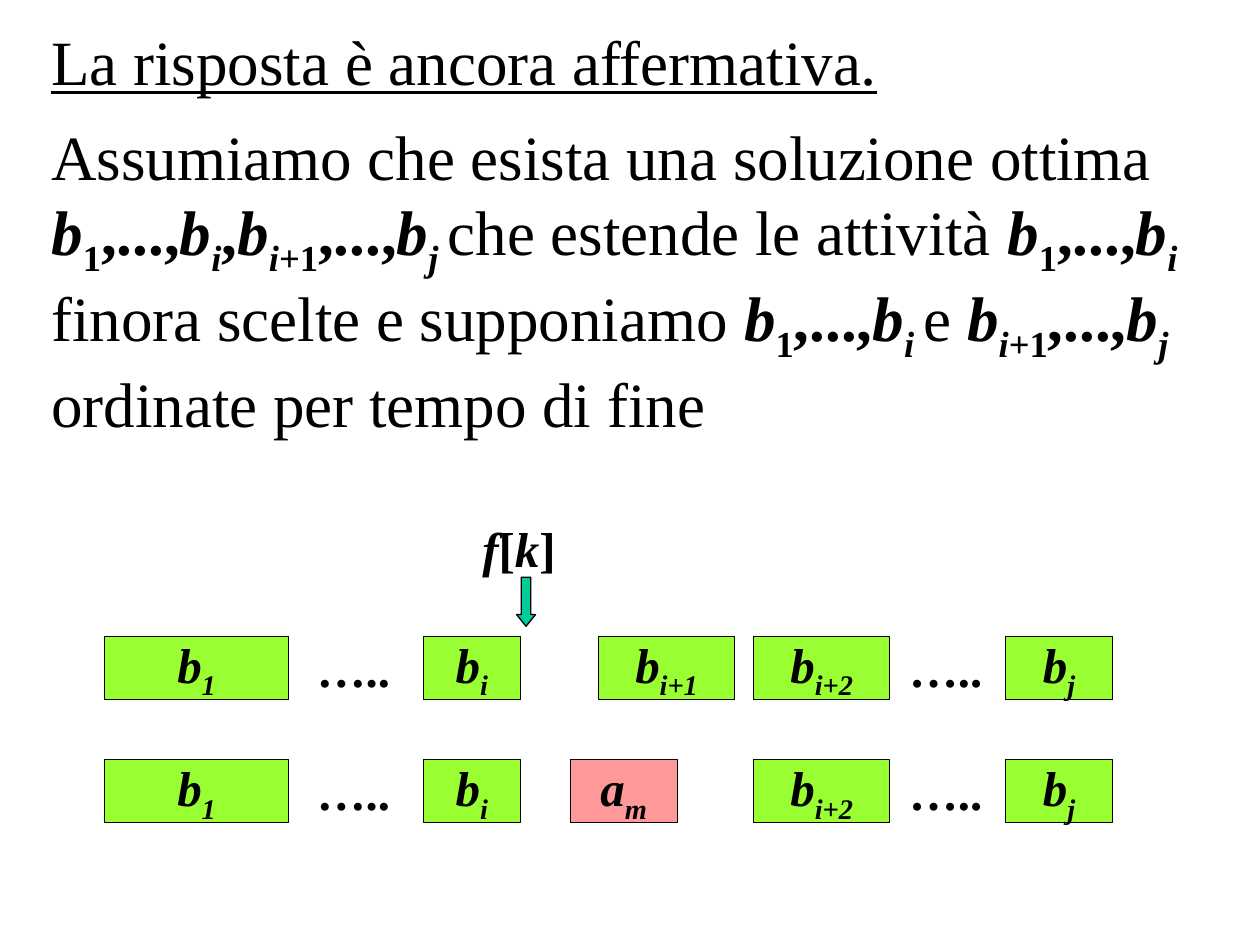
import pptx
import pptx.util
import pptx.dml.color
import pptx.enum.shapes
import pptx.enum.text

Pt = pptx.util.Pt
RGB = pptx.dml.color.RGBColor
Kind = pptx.enum.shapes.MSO_SHAPE
Text = pptx.enum.text

BLACK = RGB(0, 0, 0)
GREEN = RGB(0x99, 0xFF, 0x33)
PINK = RGB(0xFF, 0x99, 0x99)
TEAL = RGB(0, 0xCC, 0x99)

# Run styles: b bold, i italic, u underline, s subscript
DOTS = [(",...,", "b")]
B = [("b", "bi")]
B_ONE = B + [("1", "bs")]
B_NEXT = B + [("i", "bis"), ("+1", "bs")]


def sub(name, low):
    return [(name, "bi"), (low, "bis")]


class Pen:
    font = "Times New Roman"
    edge = 0.75
    small = 28
    large = 36

    def __init__(self, slide):
        self.slide = slide
        self.shapes = slide.shapes

    def group(self):
        """Send the next elements to a new group."""
        self.shapes = self.slide.shapes.add_group_shape().shapes

    def fill_in(self, para, runs, size):
        """Add styled runs to a paragraph."""
        for text, style in runs:
            run = para.add_run()
            run.text = text
            font = run.font
            font.name, font.size = self.font, Pt(size)
            font.color.rgb = BLACK
            font.bold, font.italic = "b" in style, "i" in style
            font.underline = "u" in style
            if "s" in style:
                run._r.get_or_add_rPr().set("baseline", "-25000")

    def centre(self, shape, runs):
        frame = shape.text_frame
        frame.word_wrap = False
        frame.vertical_anchor = Text.MSO_ANCHOR.MIDDLE
        para = frame.paragraphs[0]
        para.alignment = Text.PP_ALIGN.CENTER
        self.fill_in(para, runs, self.small)

    def form(self, kind, left, top, width, height, fill):
        shape = self.shapes.add_shape(kind, Pt(left), Pt(top), Pt(width), Pt(height))
        shape.shadow.inherit = False
        shape.fill.solid()
        shape.fill.fore_color.rgb = fill
        shape.line.color.rgb = BLACK
        shape.line.width = Pt(self.edge)
        return shape

    def box(self, left, top, width, runs, fill=GREEN):
        self.centre(self.form(Kind.RECTANGLE, left, top, width, 36, fill), runs)

    def label(self, left, top, runs):
        area = self.shapes.add_textbox(Pt(left), Pt(top), Pt(66.2), Pt(36))
        self.centre(area, runs)

    def prose(self, left, top, width, height, paras):
        area = self.shapes.add_textbox(Pt(left), Pt(top), Pt(width), Pt(height))
        frame = area.text_frame
        frame.word_wrap = True
        frame.auto_size = Text.MSO_AUTO_SIZE.SHAPE_TO_FIT_TEXT
        for num, runs in enumerate(paras):
            para = frame.add_paragraph() if num else frame.paragraphs[0]
            para.space_before = Pt(0.3 * self.large)
            self.fill_in(para, runs, self.large)

    def arrow(self, left, top, width, height):
        shape = self.form(Kind.DOWN_ARROW, left, top, width, height, TEAL)
        shape.adjustments[0], shape.adjustments[1] = 0.5, 0.62

    def row(self, top):
        """Draw the activities that both solutions share."""
        self.box(59.8, top, 105.1, sub("b", "1"))
        self.box(241.9, top, 55.4, sub("b", "i"))
        self.box(430.6, top, 77.8, sub("b", "i+2"))
        self.box(574.6, top, 61.2, sub("b", "j"))
        for left in (169.9, 508.3):
            self.label(left, top, [("…..", "bi")])


def main():
    deck = pptx.Presentation()
    deck.slide_width, deck.slide_height = Pt(720), Pt(540)
    pen = Pen(deck.slides.add_slide(deck.slide_layouts[6]))

    first = B_ONE + DOTS + sub("b", "i ")
    title = [("La risposta è ancora affermativa", "u"), (".", "ui")]
    body = (
        [("Assumiamo che esista una soluzione ottima ", "")]
        + B_ONE + DOTS + sub("b", "i") + [(",", "b")]
        + B_NEXT + DOTS + sub("b", "j ")
        + [("che estende le attività ", "")] + first
        + [("finora scelte e supponiamo ", "")] + first
        + [("e ", "")] + B_NEXT + DOTS + sub("b", "j ")
        + [("ordinate per tempo di fine", "")]
    )
    pen.prose(22.3, 9.4, 674.6, 238.3, [title, body])

    low, high = 434.2, 363.6
    pen.group()
    pen.row(low)
    pen.box(325.8, low, 61.2, sub("a", "m"), PINK)

    pen.group()
    pen.row(high)
    pen.box(342, high, 77.8, sub("b", "i+1"))
    pen.label(263.5, 295.2, [("f", "bi"), ("[", "b"), ("k", "bi"), ("]", "b")])
    pen.arrow(295.2, 329.8, 10.8, 28.1)

    deck.save("out.pptx")


if __name__ == "__main__":
    main()
